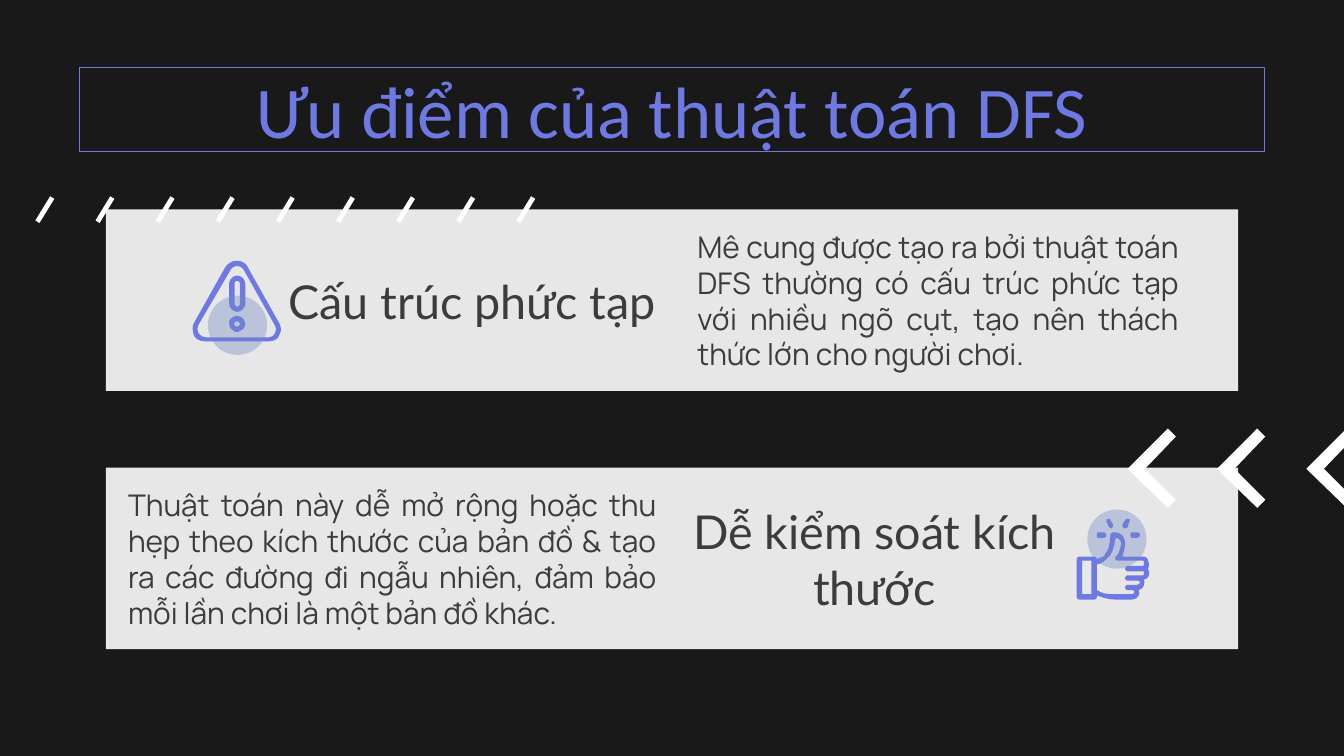
from dataclasses import dataclass

from lxml import etree
from pptx import Presentation
from pptx.dml.color import RGBColor
from pptx.enum import shapes, text
from pptx.oxml import ns
from pptx.util import Cm, Pt

WARNING_ICON = (
    "M 34 4 C 36 4 38 5 39 7 L 62 48 C 63 50 63 52 62 54 C 61 56 59 57 57 57 L 11 57 "
    "C 6 57 3 52 5 48 L 29 7 C 30 5 32 4 34 4 M 34 0 C 30 0 27 2 25 5 L 2 46 "
    "C 0 49 1 53 2 56 C 4 59 7 60 11 60 L 57 60 C 60 60 64 59 65 56 "
    "C 67 53 67 49 65 46 L 42 5 C 41 2 37 0 34 0",
    "M 34 45 C 35 45 36 46 36 47 C 36 48 35 49 34 49 C 32 49 31 47 32 46 "
    "C 33 45 33 45 34 45 M 34 41 C 31 41 29 43 28 45 C 28 47 28 50 30 51 "
    "C 31 52 32 53 34 53 C 35 53 35 53 36 52 C 38 52 40 49 40 47 C 40 44 37 41 34 41",
    "M 34 15 C 35 15 36 16 36 17 L 36 32 C 36 33 35 34 34 34 C 33 34 32 33 32 32 "
    "L 32 17 C 32 16 33 15 34 15 M 34 11 C 31 11 28 14 28 17 L 28 32 "
    "C 28 35 31 38 34 38 C 37 38 40 35 40 32 L 40 17 C 40 14 37 11 34 11",
)
HAND_INSIDE = (
    "M 11 31 L 11 56 L 4 56 L 4 31 M 29 14 C 31 14 33 16 33 18 C 33 21 31 27 29 28 "
    "C 28 30 29 31 31 31 L 49 31 C 50 31 50 32 50 33 C 50 34 50 35 49 35 L 38 35 "
    "C 37 35 36 36 36 37 C 36 38 37 39 38 39 L 49 39 C 50 39 50 39 50 40 "
    "C 50 41 50 42 49 42 L 38 42 C 37 42 36 43 36 44 C 36 45 37 46 38 46 L 45 46 "
    "C 46 46 47 46 47 47 C 47 48 46 49 45 49 L 38 49 C 37 49 36 50 36 51 "
    "C 36 52 37 53 38 53 L 41 53 C 42 53 43 54 43 54 C 43 55 42 56 41 56 L 29 56 "
    "C 26 56 22 56 19 55 L 15 53 L 15 34 L 18 33 C 20 32 22 30 23 29 C 27 26 28 19 29 14"
)
HAND_OUTSIDE = (
    "M 27 10 C 26 10 25 11 25 12 C 25 16 24 24 21 26 L 21 27 "
    "C 20 28 18 29 17 29 L 15 30 C 15 29 14 28 13 28 L 2 28 C 1 28 0 29 0 30 L 0 58 "
    "C 0 59 1 60 2 60 L 13 60 C 14 60 15 59 15 58 L 15 57 L 18 58 C 21 59 25 60 29 60 "
    "L 41 60 C 45 60 48 56 46 53 C 50 52 51 48 50 45 C 52 45 54 43 54 40 "
    "C 54 39 53 38 53 37 C 54 35 54 33 53 31 C 53 29 51 28 49 28 L 34 28 "
    "C 35 25 36 20 36 18 C 36 14 33 10 29 10"
)
THUMB_ICON = (
    f"{HAND_INSIDE} {HAND_OUTSIDE}",
    "M 24 0 C 23 0 22 0 22 2 L 24 6 C 24 6 25 7 26 7 C 27 6 27 5 27 4 L 25 1 C 25 0 24 0 24 0",
    "M 38 0 C 37 0 37 0 36 1 L 34 4 C 34 5 34 6 35 7 C 36 7 37 7 38 6 L 39 2 C 40 1 40 0 38 0",
    "M 41 10 C 40 10 40 11 40 12 C 40 13 40 14 41 14 L 45 14 C 46 14 47 13 47 12 C 47 11 46 10 45 10",
    "M 16 10 C 15 10 15 11 15 12 C 15 13 15 14 16 14 L 20 14 C 21 14 22 13 22 12 C 22 11 21 10 20 10",
)
SLASH = "M 11 0 L 0 18 L 3 20 L 14 2"
CHEVRON = "M 30 0 L 0 30 L 30 59 L 36 53 L 13 30 L 36 6"
OUTLINE_UNIT = Cm(2.54) / 100


@dataclass(frozen=True)
class Theme:
    """Colours, fonts and type sizes."""
    night: RGBColor = RGBColor(0x19, 0x19, 0x19)
    panel: RGBColor = RGBColor(0xE7, 0xE7, 0xE7)
    ink: RGBColor = RGBColor(0x3C, 0x3C, 0x3B)
    accent: RGBColor = RGBColor(0x6E, 0x79, 0xE4)
    halo: RGBColor = RGBColor(0x71, 0x8A, 0xC6)
    white: RGBColor = RGBColor(0xFF, 0xFF, 0xFF)
    title: tuple = ("Calibri", Pt(39))
    heading: tuple = ("Lato", Pt(25))
    body: tuple = ("Manrope", Pt(16))


THEME = Theme()


@dataclass(frozen=True)
class Box:
    """A rectangle in centimetres."""
    left: float
    top: float
    width: float
    height: float

    def inner(self, left, top, width, height):
        """Return a box offset from this one's corner."""
        return Box(self.left + left, self.top + top, width, height)

    def lengths(self):
        """Return left, top, width and height as lengths."""
        return [Cm(v) for v in (self.left, self.top, self.width, self.height)]


def paint(shape, colour):
    """Give a shape a plain fill."""
    shape.shadow.inherit = False
    shape.fill.solid()
    shape.fill.fore_color.rgb = colour
    shape.line.fill.background()


def contours(outline):
    """Turn move, line and curve commands into lists of points."""
    result = []
    for command in outline.replace("M", "|M").replace("L", "|L").replace("C", "|C").split("|")[1:]:
        kind, *values = command.split()
        numbers = [float(v) * OUTLINE_UNIT for v in values]
        points = list(zip(numbers[::2], numbers[1::2]))
        if kind == "M":
            result.append(points)
        elif kind == "L":
            result[-1] += points
        else:
            bends = [result[-1][-1], *points]
            for t in (0.2, 0.4, 0.6, 0.8, 1):
                weights = ((1 - t) ** 3, 3 * t * (1 - t) ** 2, 3 * t * t * (1 - t), t ** 3)
                result[-1].append(tuple(sum(w * p[axis] for w, p in zip(weights, bends))
                                        for axis in (0, 1)))
    return result


def draw_outline(slide, left, top, outline, colour):
    """Draw a filled outline from its corner in centimetres."""
    first, *others = contours(outline)
    builder = slide.shapes.build_freeform(*first[0])
    builder.add_line_segments(first[1:])
    for points in others:
        builder.move_to(*points[0])
        builder.add_line_segments(points[1:])
    paint(builder.convert_to_shape(Cm(left), Cm(top)), colour)


def draw_row(slide, box, count, item_width, outline):
    """Spread equal white outlines across a box."""
    pitch = (box.width - item_width) / (count - 1)
    for i in range(count):
        draw_outline(slide, box.left + i * pitch, box.top, outline, THEME.white)


def place_text(slide, index, box, words, style, colour, align):
    """Fill, format and bring forward a placeholder."""
    holder = slide.placeholders[index]
    slide.shapes.element.append(holder.element)
    holder.left, holder.top, holder.width, holder.height = box.lengths()
    frame = holder.text_frame
    frame.text = words
    frame.word_wrap = True
    frame.auto_size = text.MSO_AUTO_SIZE.NONE
    frame.vertical_anchor = text.MSO_ANCHOR.MIDDLE
    frame.margin_left = frame.margin_right = frame.margin_top = frame.margin_bottom = Cm(0.25)
    paragraph = frame.paragraphs[0]
    properties = paragraph._p.get_or_add_pPr()
    properties.set("marL", "0")
    properties.set("indent", "0")
    etree.SubElement(properties, ns.qn("a:buNone"))
    paragraph.alignment = align
    paragraph.space_before = Pt(0)
    paragraph.font.name, paragraph.font.size = style
    paragraph.font.bold = False
    paragraph.font.color.rgb = colour
    return holder


def draw_title(slide, box):
    """Place the framed slide title."""
    title = place_text(slide, 0, box, "Ưu điểm của thuật toán DFS", THEME.title,
                       THEME.accent, text.PP_ALIGN.CENTER)
    title.line.color.rgb = THEME.accent
    title.line.width = Pt(0.75)


def draw_card(slide, box, index, heading, heading_box, body, body_box, icon, icon_at, halo_at):
    """Draw a panel with heading, body, icon and halo."""
    panel = slide.shapes.add_shape(shapes.MSO_SHAPE.RECTANGLE, *box.lengths())
    paint(panel, THEME.panel)
    place_text(slide, index, box.inner(*heading_box), heading, THEME.heading,
               THEME.ink, text.PP_ALIGN.CENTER)
    place_text(slide, index + 1, box.inner(*body_box), body, THEME.body,
               THEME.ink, text.PP_ALIGN.JUSTIFY)
    for outline in icon:
        draw_outline(slide, box.left + icon_at[0], box.top + icon_at[1], outline, THEME.accent)
    halo = slide.shapes.add_shape(shapes.MSO_SHAPE.OVAL, *box.inner(*halo_at, 1.12, 1.12).lengths())
    paint(halo, THEME.halo)
    tint = halo.element.spPr.find(ns.qn("a:solidFill"))[0]
    etree.SubElement(tint, ns.qn("a:alpha"), val="38000")


def main():
    """Build and save the slide."""
    deck = Presentation()
    deck.slide_width, deck.slide_height = Cm(25.4), Cm(14.29)
    slide = deck.slides.add_slide(deck.slide_layouts.get_by_name("Comparison"))
    slide.background.fill.solid()
    slide.background.fill.fore_color.rgb = THEME.night
    draw_title(slide, Box(1.5, 1.27, 22.4, 1.6))
    draw_card(slide, Box(2, 3.96, 21.4, 3.43), 1,
              "Cấu trúc phức tạp", (3.1, 0.97, 7.65, 1.5),
              "Mê cung được tạo ra bởi thuật toán DFS thường có cấu trúc phức tạp với "
              "nhiều ngõ cụt, tạo nên thách thức lớn cho người chơi.", (10.93, 0.33, 9.6, 2.77),
              WARNING_ICON, (1.62, 0.97), (1.93, 1.63))
    draw_card(slide, Box(2, 8.84, 21.4, 3.43), 3,
              "Dễ kiểm soát kích thước", (10.7, 0.97, 7.65, 1.5),
              "Thuật toán này dễ mở rộng hoặc thu hẹp theo kích thước của bản đồ & tạo ra các "
              "đường đi ngẫu nhiên, đảm bảo mỗi lần chơi là một bản đồ khác.",
              (0.17, 0.33, 10.49, 2.77), THUMB_ICON, (18.35, 0.97), (18.55, 0.79))
    draw_row(slide, Box(0.67, 3.71, 9.45, 0.51), 9, 0.36, SLASH)
    draw_row(slide, Box(21.31, 8.1, 4.29, 1.5), 3, 0.91, CHEVRON)
    deck.save("out.pptx")


if __name__ == "__main__":
    main()
